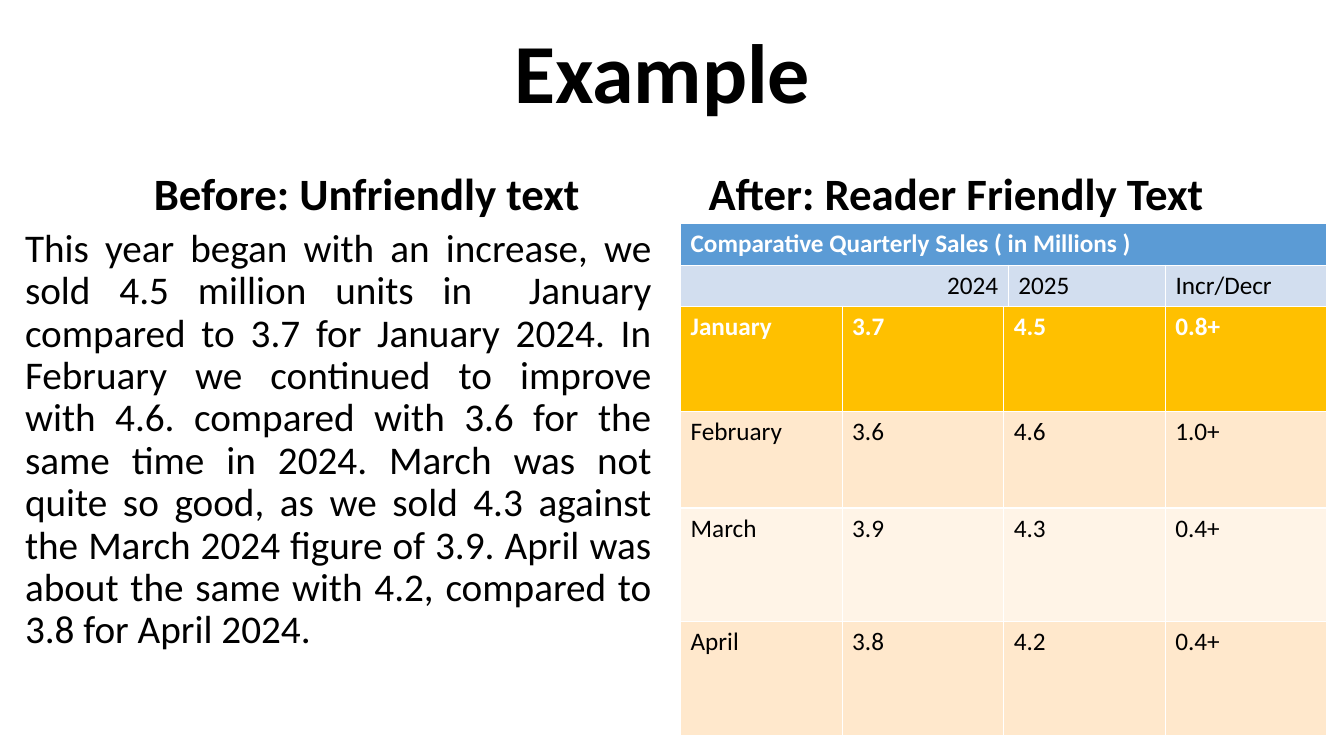
import pptx
import pptx.dml.color
import pptx.enum.text
import pptx.util

Inches = pptx.util.Inches
Align = pptx.enum.text.PP_ALIGN
Anchor = pptx.enum.text.MSO_ANCHOR

BLACK, WHITE = "000000", "FFFFFF"
BEFORE_TEXT = (
    "This year began with an increase, we sold 4.5 million units in \tJanuary "
    "compared to 3.7 for January 2024. In February we continued to improve with 4.6. "
    "compared with 3.6 for the same time in 2024. March was not quite so good, as we "
    "sold 4.3 against the March 2024 figure of 3.9. April was about the same with 4.2, "
    "compared to 3.8 for April 2024."
)
HEADER_ROWS = [
    ["Comparative Quarterly Sales ( in Millions )", "", ""],
    ["2024", "2025", "Incr/Decr"],
]
MONTH_ROWS = [
    ["January", "3.7", "4.5", "0.8+"],
    ["February", "3.6", "4.6", "1.0+"],
    ["March", "3.9", "4.3", "0.4+"],
    ["April", "3.8", "4.2", "0.4+"],
]


def color(value):
    """Turn a hex string into a colour."""
    return pptx.dml.color.RGBColor.from_string(value)


def style_font(paragraph, size, value, bold):
    """Set the font of a whole paragraph."""
    font = paragraph.font
    font.name = "Calibri"
    font.size = pptx.util.Pt(size)
    font.bold = bold
    font.color.rgb = color(value)


def add_text(slide, box, text, size, bold=True, align=Align.CENTER,
             anchor=Anchor.MIDDLE, right_inset=0.3):
    """Place one wrapped paragraph in a box given in inches."""
    frame = slide.shapes.add_textbox(*map(Inches, box)).text_frame
    frame.word_wrap = True
    frame.vertical_anchor = anchor
    frame.margin_right = Inches(right_inset)
    paragraph = frame.paragraphs[0]
    paragraph.text = text
    paragraph.alignment = align
    paragraph.line_spacing = 0.9
    style_font(paragraph, size, BLACK, bold)


def add_sales_table(slide, left, top, widths, heights, rows, fills):
    """Place a table with a bold white first row and one fill for each row."""
    table = slide.shapes.add_table(
        len(rows), len(widths), Inches(left), Inches(top),
        Inches(sum(widths)), Inches(sum(heights))).table
    for column, width in zip(table.columns, widths):
        column.width = Inches(width)
    for index, (row, height, fill) in enumerate(zip(rows, heights, fills)):
        table.rows[index].height = Inches(height)
        for cell, text in zip(table.rows[index].cells, row):
            cell.fill.solid()
            cell.fill.fore_color.rgb = color(fill)
            cell.text = text
            first = index == 0
            style_font(cell.text_frame.paragraphs[0], 18, WHITE if first else BLACK, first)
    return table


def add_before(slide, left, top, width):
    """Place the unfriendly text under its heading."""
    add_text(slide, (left + 0.77, top, width - 0.77, 0.78),
             "Before: Unfriendly text", 32, anchor=Anchor.BOTTOM)
    add_text(slide, (left, top + 0.77, width, 5.07), BEFORE_TEXT, 28, False,
             Align.JUSTIFY, Anchor.TOP, 0.1)


def add_after(slide, left, top, width):
    """Place the two sales tables under their heading."""
    add_text(slide, (left, top, width - 0.74, 0.78),
             "After: Reader Friendly Text", 32, anchor=Anchor.BOTTOM)
    header = add_sales_table(slide, left, top + 0.77, [3.25, 1.56, 1.6], [0.41] * 2,
                             HEADER_ROWS, ["5B9BD5", "D2DEEF"])
    header.cell(0, 0).merge(header.cell(0, 2))
    header.cell(1, 0).text_frame.paragraphs[0].alignment = Align.RIGHT
    add_sales_table(slide, left, top + 1.59, [width / 4] * 4, [1.04, 0.96, 1.13, 1.13],
                    MONTH_ROWS, ["FFC000", "FFE8CC", "FFF4E7", "FFE8CC"])


def main():
    """Build the slide and save it."""
    presentation = pptx.Presentation()
    presentation.slide_width = Inches(13.33)
    presentation.slide_height = Inches(7.5)
    slide = presentation.slides.add_slide(presentation.slide_layouts[6])
    add_text(slide, (0.92, 0.23, 11.5, 1.05), "Example", 60)
    add_before(slide, 0.15, 1.45, 6.41)
    add_after(slide, 6.75, 1.45, 6.41)
    presentation.save("out.pptx")


if __name__ == "__main__":
    main()
